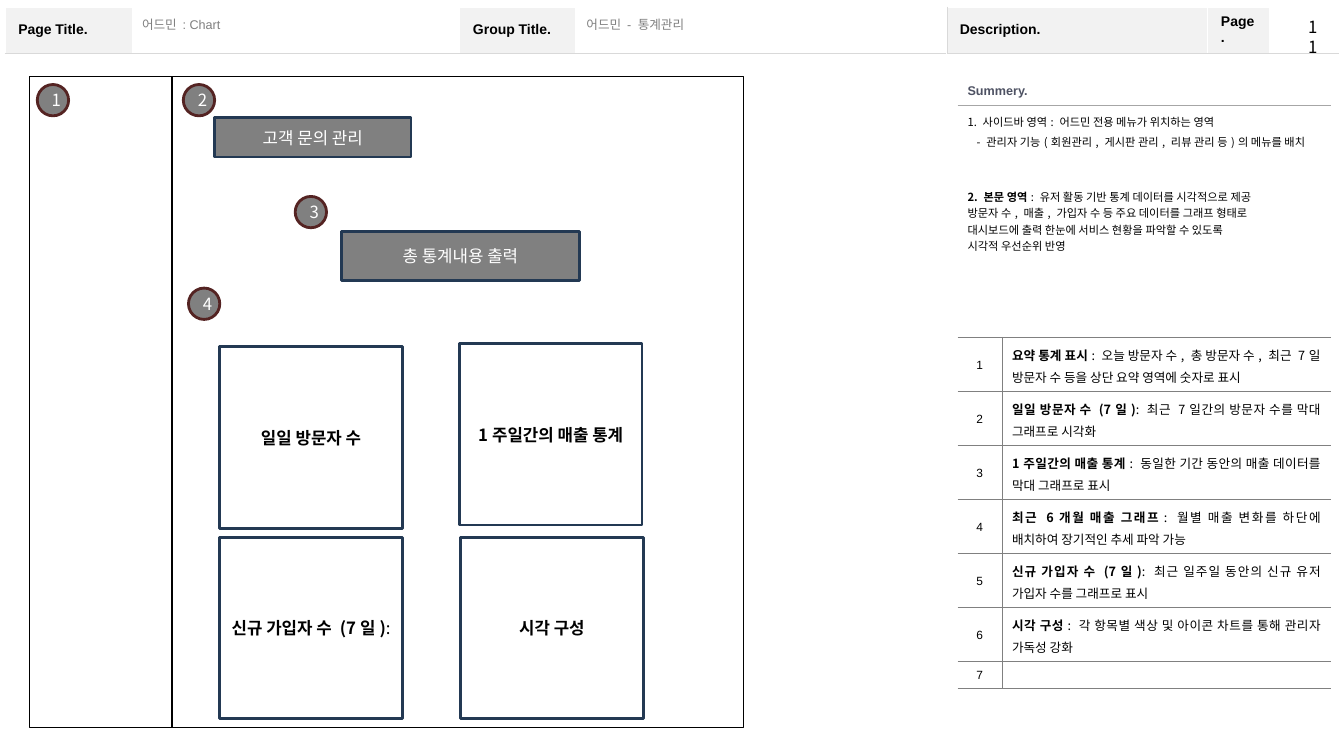
from lxml.etree import SubElement
from pptx import Presentation
from pptx.dml.color import RGBColor as Rgb
from pptx.enum.shapes import MSO_SHAPE as Shape
from pptx.enum.text import MSO_ANCHOR as Anchor, PP_ALIGN as Align
from pptx.oxml import parse_xml
from pptx.oxml.ns import nsdecls, qn
from pptx.util import Cm, Pt

HUE = {
    "black": "000000", "white": "FFFFFF", "gray": "808080", "pale": "F2F2F2",
    "rule": "D9D9D9", "mid": "A6A6A6", "slate": "4E5263",
    "navy": "233953", "wine": "542322",
}
NOTO, ARIAL = "Noto Sans CJK KR", "Arial"


def write(para, runs, size, hue="black", font=NOTO, align=None, space=None):
    """Add (text, bold) runs to a paragraph; an empty one keeps the size."""
    para.alignment, para.line_spacing = align, space
    for text, bold in runs:
        run = para.add_run()
        run.text = text
        run.font.size, run.font.bold, run.font.name = Pt(size), bold, font
        run.font.color.rgb = Rgb.from_string(HUE[hue])
        SubElement(run._r.get_or_add_rPr(), qn("a:ea"), typeface=NOTO)
    if not runs:
        SubElement(para._p, qn("a:endParaRPr"), sz=str(int(size * 100)))


def edge(cell, **sides):
    """Set the L, R, T and B borders; a side not named has no line."""
    props = cell._tc.get_or_add_tcPr()
    for spot, side in enumerate("LRTB"):
        hue = sides.get(side)
        width = 12700 if hue == "white" else 3175
        fill = (f'<a:solidFill><a:srgbClr val="{HUE[hue]}"/></a:solidFill>'
                if hue else "<a:noFill/>")
        line = f'<a:ln{side} {nsdecls("a")} w="{width}">{fill}</a:ln{side}>'
        props.insert(spot, parse_xml(line))


deck = Presentation()
deck.slide_width, deck.slide_height = Cm(33.87), Cm(19.05)
slide = deck.slides.add_slide(deck.slide_layouts[6])
shapes = slide.shapes

# Page frame
cols = [3.2, 8.26, 2.92, 9.35, 6.58, 1.55, 1.73]
rows = [1.12, 16.92]
frame = shapes.add_table(2, 7, Cm(0.13), Cm(0.18), Cm(sum(cols)), Cm(sum(rows))).table
frame.first_row = frame.horz_banding = False
for col, width in zip(frame.columns, cols):
    col.width = Cm(width)
for row, height in zip(frame.rows, rows):
    row.height = Cm(height)
frame.cell(1, 0).merge(frame.cell(1, 3))
frame.cell(1, 4).merge(frame.cell(1, 6))
heads = {0: "Page Title.", 2: "Group Title.", 4: "Description.", 5: "Page."}
for r in range(2):
    for c in range(7):
        cell = frame.cell(r, c)
        cell.vertical_anchor = Anchor.MIDDLE
        cell.margin_left = cell.margin_right = Cm(0.33)
        cell.margin_top = cell.margin_bottom = Cm(0.18)
        head = heads.get(c) if r == 0 else None
        if head:
            cell.fill.solid()
            cell.fill.fore_color.rgb = Rgb.from_string(HUE["pale"])
        else:
            cell.fill.background()
        write(cell.text_frame.paragraphs[0], [(head, True)] if head else [], 10, font=ARIAL)
        edge(cell, L="rule" if c == 4 else "white", R="rule" if c == 3 else "white",
             T="rule" if r else "white", B="white" if r else "rule")

# Header values
for x, width, text in [(3.33, 8.23, "어드민 : Chart"), (14.53, 9.25, "어드민 - 통계관리")]:
    box = shapes.add_textbox(Cm(x), Cm(0.3), Cm(width), Cm(0.61)).text_frame
    box.word_wrap, box.vertical_anchor = True, Anchor.MIDDLE
    write(box.paragraphs[0], [(text, False)], 9, "gray", ARIAL)

# Wireframe: kind, x, y, width, height, fill, line, points, text hue, runs
OVAL, RECT = Shape.OVAL, Shape.RECTANGLE
parts = [(RECT, 0.74, 1.93, 3.61, 16.41, None, "black", 1, "black", []),
         (RECT, 4.34, 1.93, 14.4, 16.41, None, "black", 1, "black", [])]
for x, y, width, height, text in [(5.41, 2.97, 4.95, 0.99, "고객 문의 관리"),
                                  (8.61, 5.84, 5.99, 1.22, "총 통계내용 출력")]:
    parts.append((RECT, x, y, width, height, "gray", "navy", 2, "white", [(text, False)]))
spots = [(0.94, 2.13), (4.62, 2.13), (7.44, 4.95), (4.75, 7.26)]
for num, (x, y) in enumerate(spots, 1):
    parts.append((OVAL, x, y, 0.79, 0.79, "gray", "wine", 2, "white", [(str(num), False)]))
for x, y, runs in [(5.54, 8.74, [("일일 방문자 수", True)]),
                   (11.58, 8.66, [("1주일간의 매출 통계", True)]),
                   (5.54, 13.54, [("신규 가입자 수 (7일)", True), (":", False)]),
                   (11.61, 13.54, [("시각 구성", True)])]:
    parts.append((RECT, x, y, 4.6, 4.57, "white", "navy", 2, "black", runs))
for kind, x, y, width, height, fill, line, points, hue, runs in parts:
    item = shapes.add_shape(kind, Cm(x), Cm(y), Cm(width), Cm(height))
    item.shadow.inherit = False
    if fill:
        item.fill.solid()
        item.fill.fore_color.rgb = Rgb.from_string(HUE[fill])
    else:
        item.fill.background()
    item.line.color.rgb = Rgb.from_string(HUE[line])
    item.line.width = Pt(points)
    item.text_frame.word_wrap = True
    item.text_frame.vertical_anchor = Anchor.MIDDLE
    write(item.text_frame.paragraphs[0], runs, 12, hue, align=Align.CENTER)

# Description table
notes = [
    ("요약 통계 표시", ": 오늘 방문자 수, 총 방문자 수, 최근 7일 방문자 수 등을 상단 요약 영역에 숫자로 표시"),
    ("일일 방문자 수 (7일)", ": 최근 7일간의 방문자 수를 막대 그래프로 시각화"),
    ("1주일간의 매출 통계", ": 동일한 기간 동안의 매출 데이터를 막대 그래프로 표시"),
    ("최근 6개월 매출 그래프", ": 월별 매출 변화를 하단에 배치하여 장기적인 추세 파악 가능"),
    ("신규 가입자 수 (7일)", ": 최근 일주일 동안의 신규 유저 가입자 수를 그래프로 표시"),
    ("시각 구성", ": 각 항목별 색상 및 아이콘 차트를 통해 관리자 가독성 강화"),
    None,
]
rows = [0.72, 5.84] + [1.36] * 6 + [0.68]
side = shapes.add_table(9, 2, Cm(24.13), Cm(1.93), Cm(9.4), Cm(sum(rows))).table
side.first_row = side.horz_banding = False
side.columns[0].width, side.columns[1].width = Cm(1.12), Cm(8.28)
for r, height in enumerate(rows):
    side.rows[r].height = Cm(height)
    for c in range(2):
        cell = side.cell(r, c)
        cell.fill.background()
        cell.vertical_anchor = Anchor.TOP if r == 1 else Anchor.MIDDLE
        if r < 2:
            edge(cell, T="mid" if r else None, B="gray" if r else "mid")
        else:
            edge(cell, T="gray", B="gray", **{"L" if c else "R": "gray"})
for r in range(2):
    side.cell(r, 0).merge(side.cell(r, 1))
write(side.cell(0, 0).text_frame.paragraphs[0], [("Summery.", True)], 9, "slate", ARIAL)

body = side.cell(1, 0).text_frame
areas = [
    [("1. 사이드바 영역: 어드민 전용 메뉴가 위치하는 영역", False)],
    [("- 관리자 기능(회원관리, 게시판 관리, 리뷰 관리 등)의 메뉴를 배치", False)],
    [("2. 본문 영역", True), (": 유저 활동 기반 통계 데이터를 시각적으로 제공", False)],
    [("방문자 수, 매출, 가입자 수 등 주요 데이터를 그래프 형태로", False)],
    [("대시보드에 출력 한눈에 서비스 현황을 파악할 수 있도록", False)],
    [("시각적 우선순위 반영", False)],
]
for num, runs in enumerate(areas):
    para = body.add_paragraph() if num else body.paragraphs[0]
    top = num < 2
    write(para, runs, 8, align=Align.JUSTIFY if top else None, space=1.2 if top else None)
body.paragraphs[1]._p.get_or_add_pPr().set("marL", str(Cm(0.23)))
body.paragraphs[2].space_before = Pt(28)

for num, note in enumerate(notes, 1):
    left, right = (side.cell(num + 1, c).text_frame.paragraphs[0] for c in range(2))
    write(left, [(str(num), False)], 8.5, font=ARIAL, align=Align.CENTER, space=1.2)
    runs = [(note[0], True), (note[1], False)] if note else []
    write(right, runs, 9, align=Align.JUSTIFY, space=1.2)

# Page number
page = shapes.add_textbox(Cm(32.72), Cm(0.3), Cm(0.74), Cm(0.76)).text_frame
page.word_wrap = True
write(page.paragraphs[0], [("11", False)], 12)

deck.save("out.pptx")
